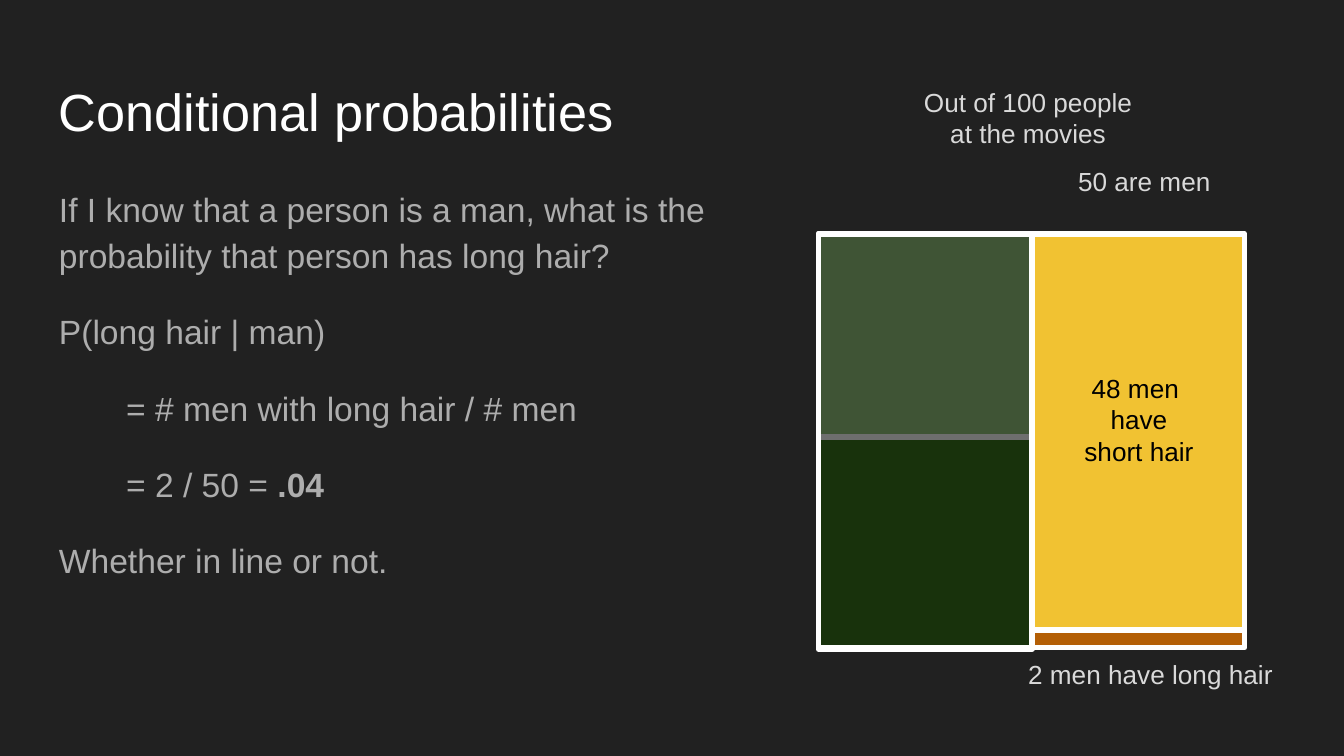
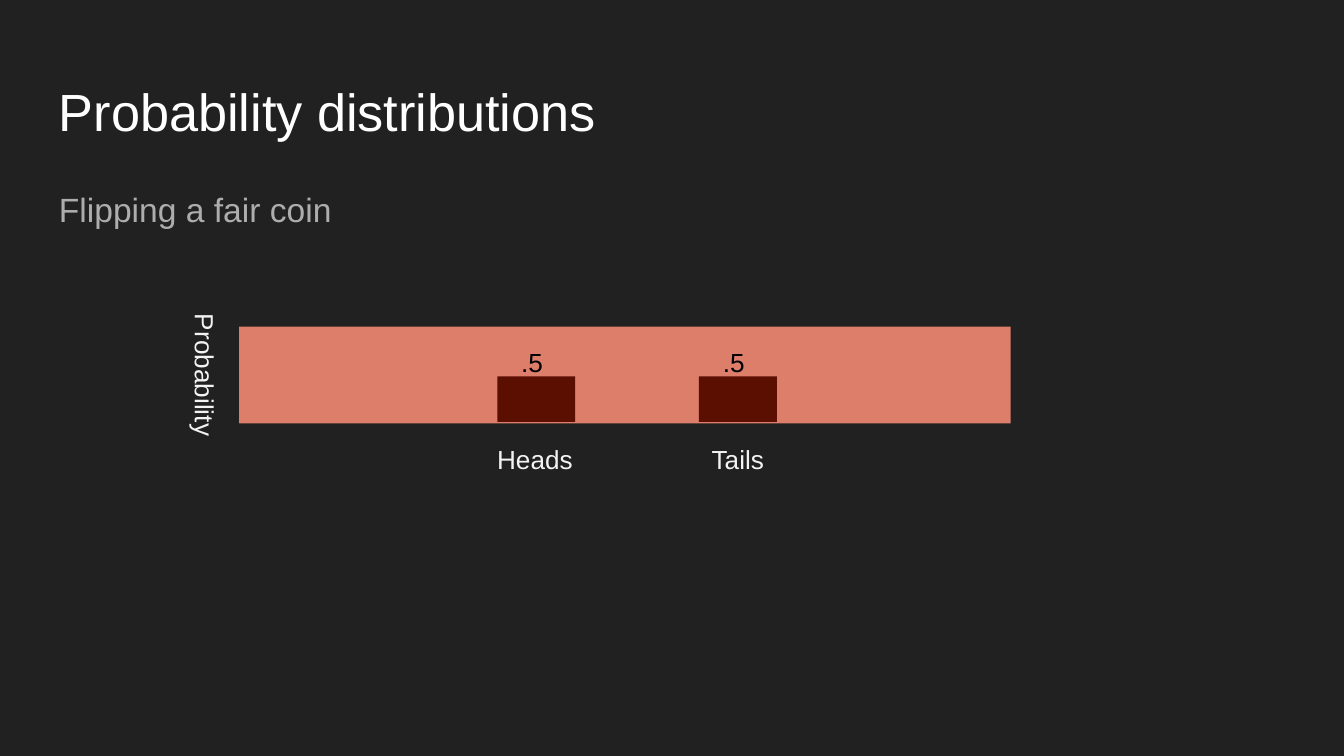
from lxml import etree
from pptx import Presentation
from pptx.dml.color import RGBColor
from pptx.enum.shapes import MSO_SHAPE
from pptx.enum.text import MSO_ANCHOR, PP_ALIGN
from pptx.oxml.ns import qn
from pptx.util import Inches, Pt

COLORS = {
    "bg": "212121", "title": "FFFFFF", "body": "ADADAD", "label": "D9D9D9",
    "axis": "F3F3F3", "dark": "000000", "line": "FFFFFF",
    "short_men": "F1C232", "long_men": "B45F06",
    "light_women": "93C47D", "dark_women": "38761D",
    "panel": "DD7E6B", "bar": "5B0F00",
}
BODY = {"line_spacing": 1.15}
LABEL = {"alignment": PP_ALIGN.CENTER}


def rgb(name):
    return RGBColor.from_string(COLORS[name])


class Deck:
    font = "Arial"

    def __init__(self):
        self.prs = Presentation()
        self.prs.slide_width = Inches(10)
        self.prs.slide_height = Inches(5.625)

    def slide(self, title):
        self.s = self.prs.slides.add_slide(self.prs.slide_layouts[6])
        fill = self.s.background.fill
        fill.solid()
        fill.fore_color.rgb = rgb("bg")
        self.text((0.34, 0.49, 9.32, 0.63), [title], 28, "title")

    def text(self, box, paras, size, color, fmt=None, rotation=0):
        sp = self.s.shapes.add_textbox(*map(Inches, box))
        sp.rotation = rotation
        tf = sp.text_frame
        frame = {"word_wrap": True, "vertical_anchor": MSO_ANCHOR.TOP}
        for side in ("left", "top", "right", "bottom"):
            frame[f"margin_{side}"] = Inches(0.1)
        for key, value in frame.items():
            setattr(tf, key, value)
        font = {"name": self.font, "size": Pt(size)}
        for i, runs in enumerate(paras):
            p = tf.paragraphs[0] if i == 0 else tf.add_paragraph()
            for key, value in (fmt or {}).items():
                setattr(p, key, value)
            for j, words in enumerate([runs] if isinstance(runs, str) else runs):
                r = p.add_run()
                r.text = words
                for key, value in {**font, "bold": j > 0}.items():
                    setattr(r.font, key, value)
                r.font.color.rgb = rgb(color)
        return tf

    def label(self, box, *lines, color="label", rotation=0):
        self.text(box, lines, 14, color, LABEL, rotation)

    def body(self, box, paras, indented=()):
        tf = self.text(box, paras, 18, "body", BODY)
        for i, p in enumerate(tf.paragraphs):
            if i:
                p.space_before = Pt(16)
            if i in indented:
                pPr = p._p.get_or_add_pPr()
                pPr.set("marL", "0")
                pPr.set("indent", str(Inches(0.5)))

    def rect(self, box, fill, line=None, alpha=None):
        sp = self.s.shapes.add_shape(MSO_SHAPE.RECTANGLE, *map(Inches, box))
        sp.shadow.inherit = False
        sp.fill.solid()
        sp.fill.fore_color.rgb = rgb(fill)
        if alpha:
            clr = sp.fill._xPr.find(qn("a:solidFill"))[0]
            etree.SubElement(clr, qn("a:alpha")).set("val", str(alpha * 1000))
        if line:
            sp.line.color.rgb = rgb(line)
            sp.line.width = Pt(3)
        else:
            sp.line.fill.background()


def conditional(deck):
    deck.slide("Conditional probabilities")
    deck.body((0.34, 1.26, 5.15, 3.74), [
        "If I know that a person is a man, what is the probability "
        "that person has long hair?",
        "P(long hair | man)",
        "= # men with long hair / # men",
        ("= 2 / 50 = ", ".04"),
        "Whether in line or not.",
    ], indented=(2, 3))

    women, men, top, width = 6.09, 7.67, 1.74, 1.59
    deck.rect((men, top, width, 2.95), "short_men", "line")
    deck.rect((men, top + 2.95, width, 0.13), "long_men", "line")
    deck.label((7.65, 1.13, 1.73, 0.49), "50 are men")
    deck.label((7.47, 4.8, 2.18, 0.49), "2 men have long hair")
    deck.label((7.61, 2.67, 1.73, 0.49), "48 men ", "have", "short hair",
               color="dark")
    deck.rect((women, top, width, 1.51), "light_women", "line")
    deck.rect((women, top + 1.51, width, 1.58), "dark_women", "line")
    deck.label((6.71, 0.54, 1.88, 0.49), "Out of 100 people at the movies")
    deck.rect((women, top, width, 3.08), "dark", "line", alpha=57)


def distribution(deck):
    deck.slide("Probability distributions")
    deck.body((0.34, 1.26, 9.32, 0.63), ["Flipping a fair coin"])
    deck.rect((1.78, 2.43, 5.74, 0.72), "panel")
    for i, (side, center) in enumerate((("Heads", 3.98), ("Tails", 5.49))):
        left = 3.7 + 1.5 * i
        deck.rect((left, 2.8, 0.58, 0.34), "bar")
        deck.label((left + 0.01, 2.48, 0.5, 0.38), ".5", color="dark")
        deck.label((center - 0.64, 3.2, 1.28, 0.64), side, color="axis")
    deck.label((0.72, 2.53, 1.53, 0.52), "Probability", color="axis",
               rotation=90)


def main():
    deck = Deck()
    conditional(deck)
    distribution(deck)
    deck.prs.save("out.pptx")


if __name__ == "__main__":
    main()
